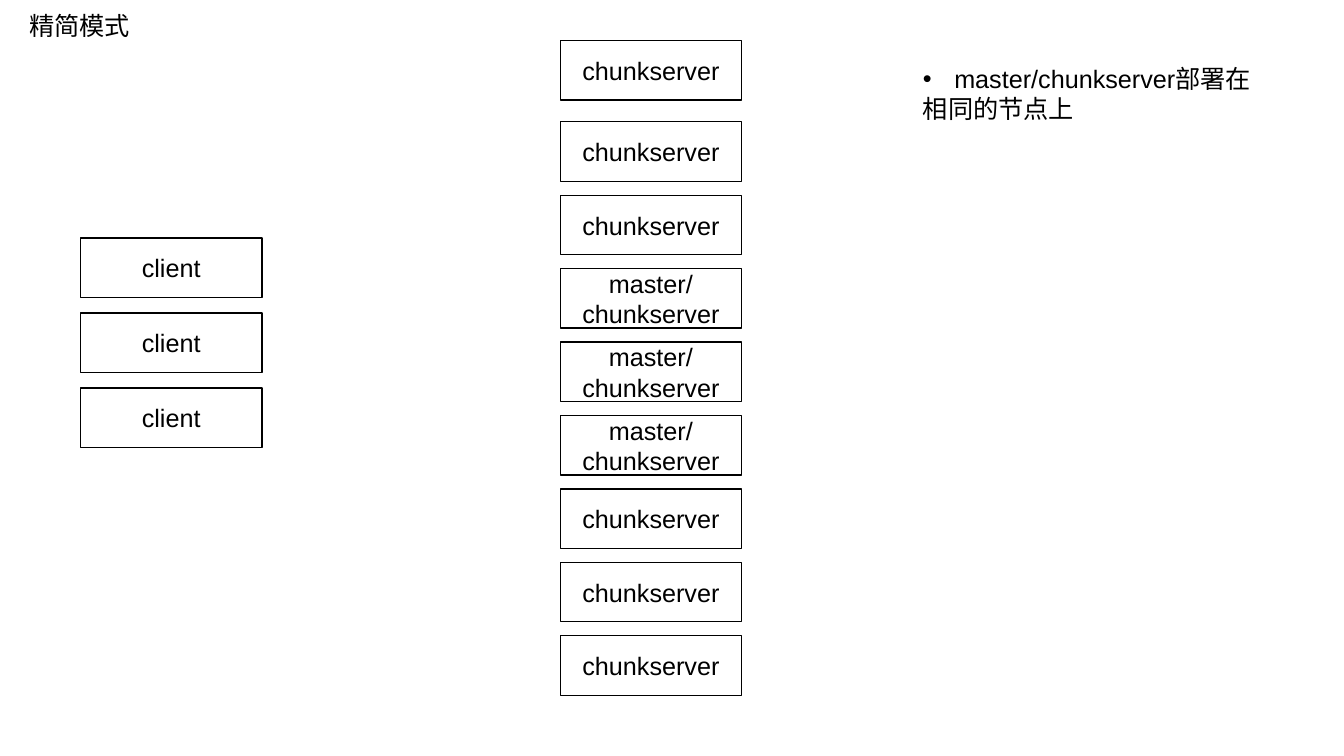
"""Build the slide on the compact deployment mode."""
from dataclasses import dataclass

from lxml import etree
from pptx import Presentation
from pptx.dml.color import RGBColor
from pptx.enum.shapes import MSO_SHAPE
from pptx.enum.text import MSO_ANCHOR, MSO_AUTO_SIZE, PP_ALIGN
from pptx.oxml.ns import qn
from pptx.util import Cm, Pt

RECT = MSO_SHAPE.RECTANGLE
TOP, MIDDLE = MSO_ANCHOR.TOP, MSO_ANCHOR.MIDDLE
LEFT, CENTER = PP_ALIGN.LEFT, PP_ALIGN.CENTER
GROW = MSO_AUTO_SIZE.SHAPE_TO_FIT_TEXT


@dataclass
class Theme:
    ink: RGBColor = RGBColor(0, 0, 0)
    paper: RGBColor = RGBColor(255, 255, 255)
    font: str = "Arial"
    size: Pt = Pt(18)
    line: Pt = Pt(1)


theme = Theme()


def write(shape, text, align, anchor, wrap):
    frame = shape.text_frame
    frame.text = text
    frame.word_wrap = wrap
    frame.vertical_anchor = anchor
    for para in frame.paragraphs:
        para.alignment = align
        for run in para.runs:
            run.font.name = theme.font
            run.font.size = theme.size
            run.font.color.rgb = theme.ink
    return frame


def node(label, left, top):
    box = slide.shapes.add_shape(RECT, Cm(left), Cm(top), Cm(4.57), Cm(1.5))
    box.shadow.inherit = False
    box.fill.solid()
    box.fill.fore_color.rgb = theme.paper
    box.line.color.rgb = theme.ink
    box.line.width = theme.line
    write(box, label, CENTER, MIDDLE, True)


deck = Presentation()
deck.slide_width, deck.slide_height = Cm(33.87), Cm(19.05)
slide = deck.slides.add_slide(deck.slide_layouts[5])

title = slide.shapes.title
title.left, title.top = Cm(0.48), Cm(0.13)
title.width, title.height = Cm(3.05), Cm(1.02)
write(title, "精简模式", LEFT, TOP, False).auto_size = GROW

for row in range(3):
    node("client", 2.03, 6 + row * 1.89)

node("chunkserver", 14.12, 1.02)
servers = ["chunkserver"] * 2 + ["master/chunkserver"] * 3 + ["chunkserver"] * 3
for row, label in enumerate(servers):
    node(label, 14.12, 3.07 + row * 1.85)

note = slide.shapes.add_textbox(Cm(23.01), Cm(1.47), Cm(8.79), Cm(1.8))
frame = write(note, "master/chunkserver部署在\n相同的节点上", LEFT, TOP, False)
frame.auto_size = GROW
props = frame.paragraphs[0]._p.get_or_add_pPr()
props.set("marL", str(Cm(0.79)))
props.set("indent", str(-Cm(0.79)))
etree.SubElement(props, qn("a:buFont")).set("typeface", theme.font)
etree.SubElement(props, qn("a:buChar")).set("char", "•")

deck.save("out.pptx")
